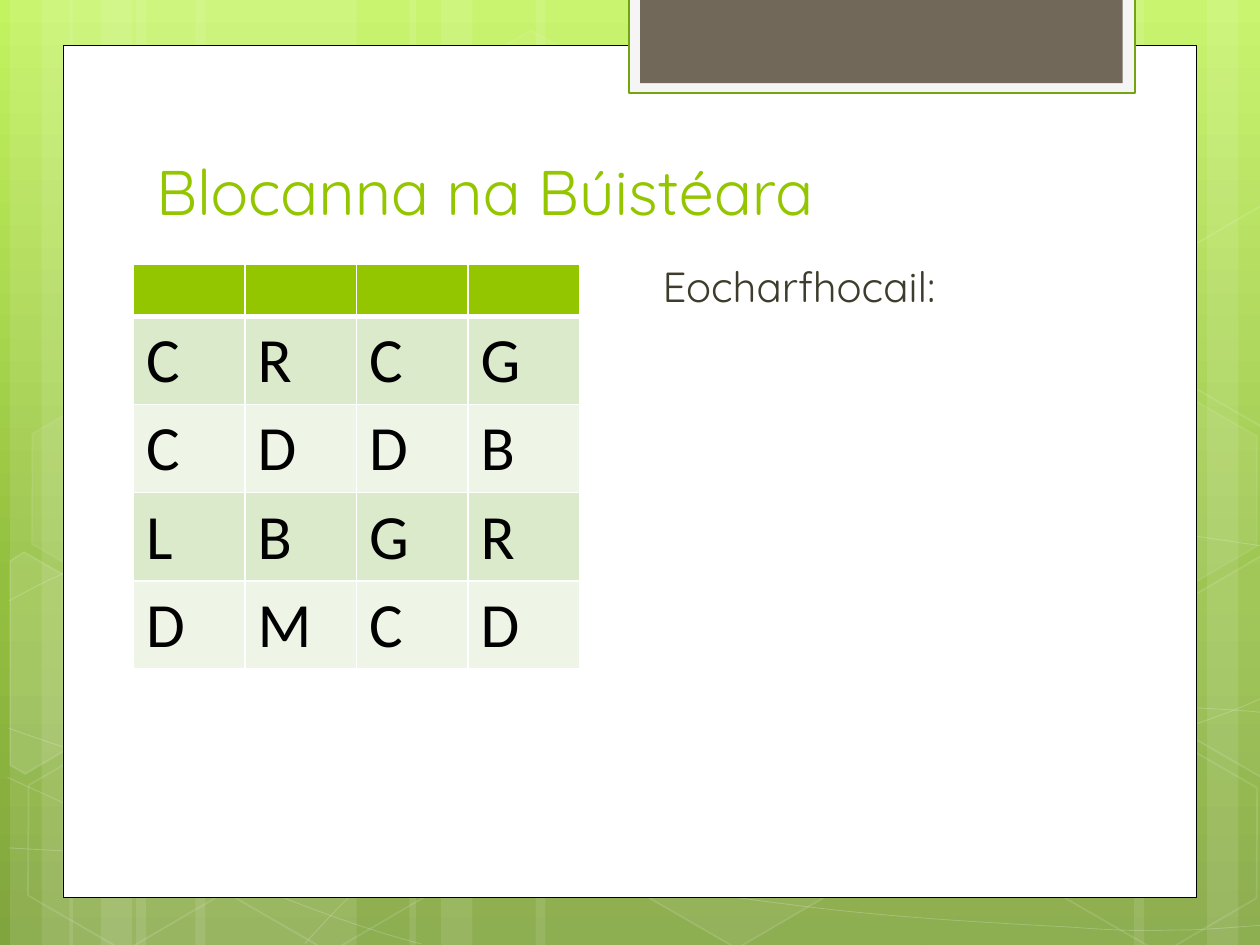
import copy
import math
import pptx
import pptx.util
import pptx.dml.color
import pptx.enum.shapes
import pptx.enum.text
import pptx.oxml
import pptx.oxml.ns

Inches = pptx.util.Inches
Pt = pptx.util.Pt
RGBColor = pptx.dml.color.RGBColor
KIND = pptx.enum.shapes.MSO_SHAPE
ANCHOR = pptx.enum.text.MSO_ANCHOR
qn = pptx.oxml.ns.qn
SPACE = pptx.oxml.ns.nsdecls("a")

WHITE = RGBColor(0xFF, 0xFF, 0xFF)
BLACK = RGBColor(0, 0, 0)
LIME = RGBColor(0x94, 0xC6, 0x00)
GREEN = RGBColor(0x74, 0xA5, 0x10)
BROWN = RGBColor(0x71, 0x68, 0x5A)
PALE = RGBColor(0xF5, 0xF5, 0xF5)
DARK = RGBColor(0x3E, 0x3D, 0x2D)
BANDS = [RGBColor(0xDC, 0xEA, 0xCC), RGBColor(0xEE, 0xF5, 0xE7)]
STOPS = [
    (0, RGBColor(0xC3, 0xF3, 0x5F)),
    (0.62, RGBColor(0x93, 0xBF, 0x3F)),
    (1, RGBColor(0x81, 0xA5, 0x3E)),
]


def paint(shape, fill=None, line=None, width=1, alphas=()):
    shape.shadow.inherit = False
    if fill is None:
        shape.fill.background()
    else:
        shape.fill.solid()
        shape.fill.fore_color.rgb = fill
    if line is None:
        shape.line.fill.background()
    else:
        shape.line.color.rgb = line
        shape.line.width = Pt(width)
    tints = shape.element.spPr.iter(qn("a:srgbClr"))
    for tint, alpha in zip(list(tints), alphas):
        tint.append(pptx.oxml.parse_xml(
            f'<a:alpha {SPACE} val="{alpha * 1000}"/>'))


def write(frame, text, size, font, color, anchor=ANCHOR.TOP):
    frame.word_wrap = True
    frame.vertical_anchor = anchor
    para = frame.paragraphs[0]
    para.text = text
    para.font.size = Pt(size)
    para.font.name = font
    para.font.color.rgb = color
    return para


deck = pptx.Presentation()
deck.slide_width = Inches(10)
deck.slide_height = Inches(7.5)
slide = deck.slides.add_slide(deck.slide_layouts[6])
shapes = slide.shapes

back = slide.background.fill
back.gradient()
back.gradient_angle = 270
stops = slide.element.find(".//" + qn("a:gsLst"))
stops.append(copy.deepcopy(stops[0]))
for stop, (place, color) in zip(back.gradient_stops, STOPS):
    stop.position = place
    stop.color.rgb = color

strips = [
    (1.08, 1.75), (0.08, 0.5), (0.33, 0.83), (1.55, 1.75),
    (0.55, 0.5), (0.8, 0.83), (7.33, 1.75), (9.58, 0.5),
    (9, 0.83), (4.25, 3.08), (3.25, 0.5), (3.5, 0.83),
]
for left, width in strips:
    strip = shapes.add_shape(
        KIND.RECTANGLE, Inches(left), 0, Inches(width), Inches(7.5))
    paint(strip, WHITE, alphas=[10])

curves = [
    [(0.07, 6.73), (0.61, 6.76), (1.15, 6.79), (1.9, 6.78), (2.65, 6.77),
     (3.58, 6.75), (4.58, 6.65), (5.58, 6.55), (7, 6.36), (7.92, 6.17),
     (8.83, 5.98), (9.77, 5.68), (10.07, 5.51)],
    [(0.07, 4.77), (0.36, 4.61), (0.65, 4.46), (1.21, 4.31), (1.78, 4.16),
     (2.59, 3.94), (3.47, 3.87), (4.36, 3.8), (5.44, 3.79), (6.54, 3.87),
     (7.64, 3.95), (9.47, 4.26), (10.07, 4.34)],
    [(0.06, 6.17), (1.27, 6.72), (2.47, 7.27), (3.34, 7.49)],
    [(0.07, 5.78), (0.38, 5.89), (0.7, 6), (1.28, 6.16), (1.86, 6.31),
     (2.73, 6.56), (3.57, 6.73), (4.4, 6.9), (5.45, 7.08), (6.28, 7.18),
     (7.11, 7.29), (8, 7.33), (8.53, 7.36), (9.05, 7.4), (9.19, 7.38),
     (9.45, 7.38), (9.71, 7.37), (9.89, 7.35), (10.07, 7.34)],
    [(2.42, 7.49), (2.6, 7.29), (2.78, 7.09), (3.02, 6.91), (3.26, 6.73),
     (3.6, 6.53), (3.88, 6.39), (4.16, 6.25), (4.33, 6.19), (4.7, 6.09),
     (5.06, 5.99), (5.73, 5.85), (6.08, 5.78), (6.44, 5.71), (6.49, 5.71),
     (6.8, 5.69), (7.11, 5.66), (7.6, 5.63), (7.94, 5.62), (8.29, 5.61),
     (8.86, 5.62), (8.86, 5.62), (8.86, 5.62), (9.53, 5.62), (9.53, 5.62),
     (9.71, 5.63), (9.88, 5.64), (9.97, 5.65), (10.06, 5.66),
     (10.03, 5.65), (10.06, 5.66)],
]
for knots in curves:
    dots = [(Inches(x), Inches(y)) for x, y in knots]
    pen = shapes.build_freeform(*dots[0])
    pen.add_line_segments(dots[1:], close=False)
    curve = pen.convert_to_shape()
    lines = list(curve.element.spPr.iter(qn("a:lnTo")))
    for at in range(0, len(lines), 3):
        bend = pptx.oxml.parse_xml(f"<a:cubicBezTo {SPACE}/>")
        lines[at].addprevious(bend)
        for line in lines[at:at + 3]:
            bend.append(line[0])
            line.getparent().remove(line)
    paint(curve, line=WHITE, width=0.5, alphas=[20])

cells = [
    (3.34, 0.36, 4, 8), (4.97, 5.89, 6, 12), (0.11, 5.91, 0, 12),
    (0.14, 3.12, 7, 8), (1.74, 5.92, 0, 12), (7.53, 4.53, 10, 12),
    (8.34, 5.93, 0, 12), (8.34, 3.14, 7, 8),
]
for left, top, haze, edge in cells:
    cell = shapes.add_shape(
        KIND.HEXAGON, Inches(left), Inches(top), Inches(1.75), Inches(1.52))
    cell.rotation = 30
    cell.adjustments[0] = 0.285
    if haze:
        paint(cell, WHITE, WHITE, alphas=[haze, edge])
    else:
        paint(cell, line=WHITE, alphas=[edge])

parts = [
    (10, (0.36, 5.35), [(0.08, 4.45), (0.19, 4.38), (0.96, 4.82),
                        (0.95, 5.7), (0.2, 6.14), (0.08, 6.07)]),
    (4, (9.85, 5.2), [(9.26, 4.85), (10.01, 4.41), (10.09, 4.46),
                      (10.09, 6.13), (10.02, 6.17), (9.26, 5.73)]),
    (0, (9.85, 2.41), [(9.26, 2.07), (10.01, 1.63), (10.1, 1.68),
                       (10.09, 3.35), (10.02, 3.39), (9.26, 2.95)]),
]
cos, sin = math.cos(math.radians(30)), math.sin(math.radians(30))
for haze, (mx, my), knots in parts:
    dots = [(Inches(mx + (x - mx) * cos + (y - my) * sin),
             Inches(my - (x - mx) * sin + (y - my) * cos)) for x, y in knots]
    pen = shapes.build_freeform(*dots[0])
    pen.add_line_segments(dots[1:], close=True)
    part = pen.convert_to_shape()
    part.rotation = 30
    if haze:
        paint(part, WHITE, WHITE, alphas=[haze, 12])
    else:
        paint(part, line=WHITE, alphas=[12])

panels = [
    ((0.5, 0.36, 9, 6.76), WHITE, BLACK, 0.5),
    ((4.99, -0.02, 4.02, 0.76), PALE, GREEN, 1.25),
    ((5.08, -0.02, 3.83, 0.68), BROWN, None, 0),
]
for box, fill, line, width in panels:
    panel = shapes.add_shape(KIND.RECTANGLE, *map(Inches, box))
    paint(panel, fill, line, width)

title = shapes.add_textbox(*map(Inches, (1.14, 1.12, 7.68, 0.74)))
write(title.text_frame, "Blocanna na Búistéara", size=36,
      font="Quicksand", color=LIME, anchor=ANCHOR.BOTTOM)

rows = ["", "CRCG", "CDDB", "LBGR", "DMCD"]
frame = shapes.add_table(5, 4, *map(Inches, (1.06, 2.1, 3.54, 3.21)))
grid = frame.table
for r, word in enumerate(rows):
    grid.rows[r].height = Inches(0.41)
    for c in range(4):
        cell = grid.cell(r, c)
        props = cell._tc.get_or_add_tcPr()
        for side in "LRTB":
            thick = 3 if (r, side) in ((0, "B"), (1, "T")) else 1
            props.append(pptx.oxml.parse_xml(
                f'<a:ln{side} {SPACE} w="{Pt(thick)}">'
                f'<a:solidFill><a:srgbClr val="{WHITE}"/></a:solidFill>'
                f'</a:ln{side}>'))
        cell.fill.solid()
        cell.fill.fore_color.rgb = BANDS[(r - 1) % 2] if r else LIME
        if word:
            write(cell.text_frame, word[c], size=36, font="Calibri", color=BLACK)
frame.height = Inches(3.21)

body = shapes.add_textbox(*map(Inches, (5.08, 2.02, 4.25, 4.33)))
para = write(body.text_frame, "Eocharfhocail:", size=24,
             font="Quicksand", color=DARK)
props = para._p.get_or_add_pPr()
props.set("marL", str(Inches(0.38)))
props.set("indent", str(Inches(-0.3)))

deck.save("out.pptx")
